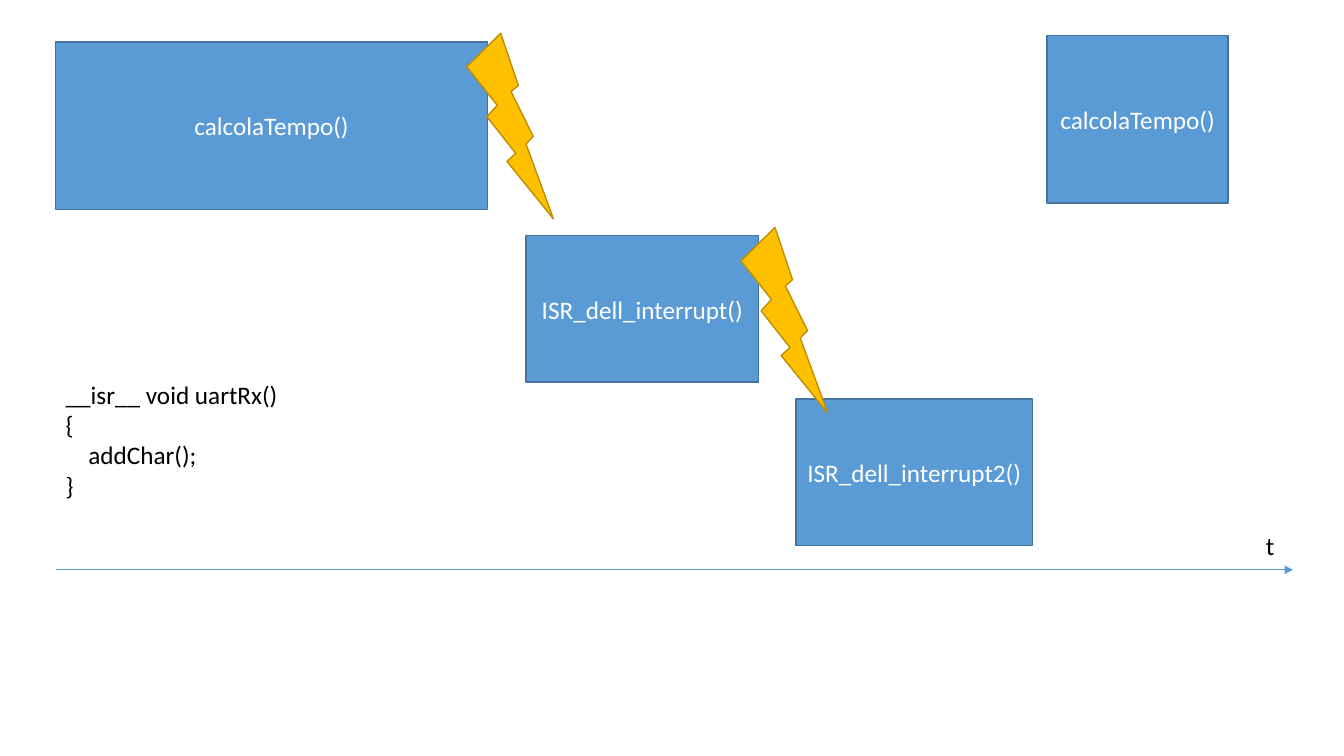
from pptx import Presentation
from pptx.dml.color import RGBColor
from pptx.enum.shapes import MSO_CONNECTOR, MSO_SHAPE
from pptx.enum.text import MSO_ANCHOR, MSO_AUTO_SIZE, PP_ALIGN
from pptx.oxml.ns import qn
from pptx.util import Pt
from lxml.etree import SubElement


def rgb(value):
    return RGBColor.from_string(value)


class Timeline:
    font, size = "Calibri", 18
    blue, blue_edge = "5B9BD5", "43739E"
    gold, gold_edge = "FFC000", "BD8E00"
    white, black = "FFFFFF", "000000"

    def __init__(self, slide):
        self.s = slide

    def run(self, p, text, color):
        r = p.add_run()
        r.text = text
        r.font.name, r.font.size = self.font, Pt(self.size)
        r.font.color.rgb = rgb(color)

    def shape(self, kind, box, fill, edge):
        sp = self.s.shapes.add_shape(kind, *map(Pt, box))
        sp.shadow.inherit = False
        sp.fill.solid()
        sp.fill.fore_color.rgb = rgb(fill)
        sp.line.color.rgb = rgb(edge)
        sp.line.width = Pt(1)
        return sp

    def task(self, name, *box):
        tf = self.shape(MSO_SHAPE.RECTANGLE, box, self.blue, self.blue_edge).text_frame
        tf.word_wrap = True
        tf.vertical_anchor = MSO_ANCHOR.MIDDLE
        p = tf.paragraphs[0]
        p.alignment = PP_ALIGN.CENTER
        self.run(p, name, self.white)

    def interrupt(self, x, y):
        self.shape(MSO_SHAPE.LIGHTNING_BOLT, (x, y, 61.9, 132.5), self.gold, self.gold_edge)

    def label(self, lines, *box):
        tf = self.s.shapes.add_textbox(*map(Pt, box)).text_frame
        tf.word_wrap = False
        tf.auto_size = MSO_AUTO_SIZE.SHAPE_TO_FIT_TEXT
        for i, (text, indent) in enumerate(lines):
            p = tf.add_paragraph() if i else tf.paragraphs[0]
            if indent:
                p._p.get_or_add_pPr().set("marL", str(Pt(indent)))
            self.run(p, text, self.black)

    def axis(self, x1, x2, y):
        c = self.s.shapes.add_connector(MSO_CONNECTOR.STRAIGHT, Pt(x1), Pt(y), Pt(x2), Pt(y))
        c.line.color.rgb = rgb(self.blue)
        c.line.width = Pt(0.5)
        spPr = c._element.spPr
        SubElement(spPr.find(qn("a:ln")), qn("a:tailEnd"), type="triangle")
        SubElement(spPr, qn("a:effectLst"))


prs = Presentation()
prs.slide_width, prs.slide_height = Pt(960), Pt(540)
t = Timeline(prs.slides.add_slide(prs.slide_layouts[6]))

left = 39.8
t.task("calcolaTempo()", left, 30, 308.4, 119.6)
t.interrupt(333.4, 23.8)
t.task("ISR_dell_interrupt()", 375.7, 168.4, 166.2, 104.5)
t.task("calcolaTempo()", 748, 25.5, 129.2, 119.6)
t.axis(left, 923.6, 407)
t.label([("t", 0)], 897.2, 375.3, 20.9, 29)
t.task("ISR_dell_interrupt2()", 568.6, 285, 169, 104.5)
t.interrupt(529.3, 162.5)
t.label([("__isr__ void uartRx()", 0), ("{", 0), ("addChar();", 16.3), ("}", 0)],
        left, 267.3, 167.8, 94.5)

prs.save("out.pptx")
